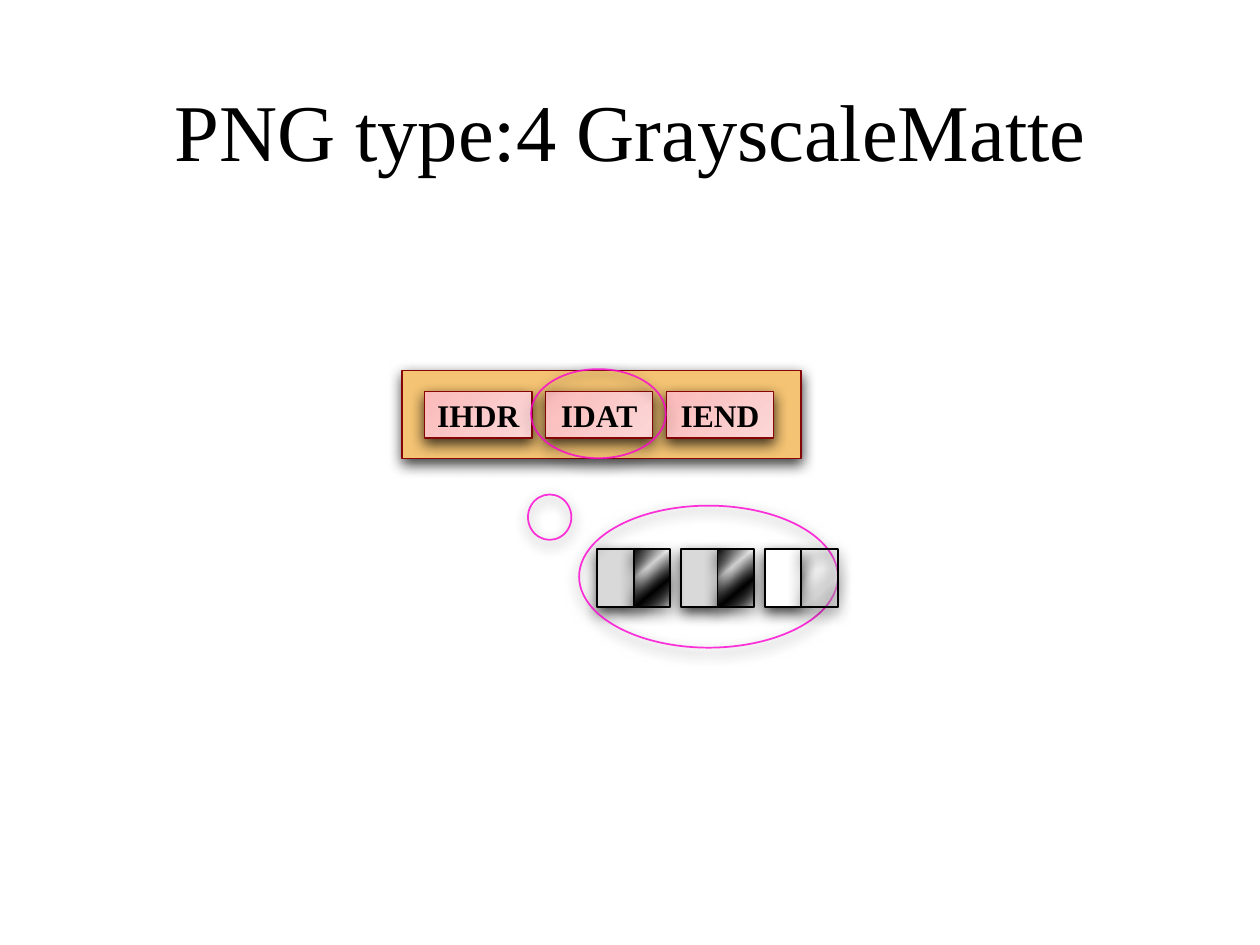
from lxml.etree import SubElement
from pptx import Presentation
from pptx.dml.color import RGBColor
from pptx.enum.shapes import MSO_SHAPE as Preset
from pptx.enum.text import MSO_ANCHOR as Anchor, MSO_AUTO_SIZE as AutoSize, PP_ALIGN as Align
from pptx.oxml import parse_xml
from pptx.oxml.ns import nsdecls, qn
from pptx.util import Inches, Pt

COLORS = {
    "ink": "000000", "gray": "D9D9D9", "white": "FFFFFF", "mist": "F2F2F2",
    "file": "F4C373", "border": "860605", "bubble": "FF00D3",
    "chunk_light": "FCD7D7", "chunk_dark": "FBBABA",
}
FONT = "Times New Roman"
DIAGONAL = '<a:lin ang="3000000" scaled="0"/>'
CORNER = '<a:path path="circle"><a:fillToRect l="100000" t="100000"/></a:path>'
CHUNK_STOPS = [(0, "chunk_light", 100), (100, "chunk_dark", 100)]
DARK_STOPS = [(0, "ink", 100), (33, "ink", 0), (66, "ink", 100), (100, "ink", 0)]
CLEAR_STOPS = [(0, "white", 48), (33, "mist", 0), (66, "mist", 51), (100, "mist", 0)]
PIXEL_PITCH = 0.665
PIXEL_WIDTH = 0.29
CHUNK_PITCH = 0.96
CHUNK_WIDTH = 0.85


def rgb(name):
    return RGBColor.from_string(COLORS[name])


def add_alpha(color, percent):
    SubElement(color, qn("a:alpha"), val=str(percent * 1000))


def set_gradient(shape, stops, direction):
    shape.fill.background()
    gradient = parse_xml(
        f'<a:gradFill {nsdecls("a")} rotWithShape="1"><a:gsLst/>{direction}</a:gradFill>')
    for position, name, opacity in stops:
        stop = SubElement(gradient[0], qn("a:gs"), pos=str(position * 1000))
        add_alpha(SubElement(stop, qn("a:srgbClr"), val=COLORS[name]), opacity)
    properties = shape.element.spPr
    properties.replace(properties.find(qn("a:noFill")), gradient)


def set_shadow(shape):
    shape.shadow.inherit = False
    effects = shape.element.spPr.find(qn("a:effectLst"))
    shadow = SubElement(effects, qn("a:outerShdw"), blurRad=str(Pt(8)), dist=str(Pt(3)),
                        dir="5400000", algn="ctr", rotWithShape="0")
    add_alpha(SubElement(shadow, qn("a:srgbClr"), val=COLORS["ink"]), 75)


def add_figure(slide, preset, box, line, fill=None, stops=None, direction=DIAGONAL):
    figure = slide.shapes.add_shape(preset, *map(Inches, box))
    if stops:
        set_gradient(figure, stops, direction)
    elif fill:
        figure.fill.solid()
        figure.fill.fore_color.rgb = rgb(fill)
    else:
        figure.fill.background()
    figure.line.color.rgb = rgb(line)
    figure.line.width = Pt(1)
    set_shadow(figure)
    return figure


def write(frame, text, size, bold=False, wrap=True):
    frame.word_wrap = wrap
    frame.auto_size = AutoSize.NONE
    frame.vertical_anchor = Anchor.MIDDLE
    paragraph = frame.paragraphs[0]
    paragraph.alignment = Align.CENTER
    run = paragraph.add_run()
    run.text = text
    run.font.name = FONT
    run.font.size = Pt(size)
    run.font.bold = bold
    run.font.color.rgb = rgb("ink")


def place_title(slide, box, text):
    title = slide.shapes.title
    title.left, title.top, title.width, title.height = map(Inches, box)
    write(title.text_frame, text, 46)


def add_gray_samples(slide, box):
    left, top, _, height = box
    for column, fill in enumerate(["gray", "gray", "white"]):
        add_figure(slide, Preset.RECTANGLE,
                   (left + column * PIXEL_PITCH, top, PIXEL_WIDTH, height), "ink", fill=fill)


def add_matte_samples(slide, box):
    left, top, _, height = box
    for column, stops in reversed(list(enumerate([DARK_STOPS, DARK_STOPS, CLEAR_STOPS]))):
        add_figure(slide, Preset.RECTANGLE,
                   (left + PIXEL_WIDTH + column * PIXEL_PITCH, top, PIXEL_WIDTH, height),
                   "ink", stops=stops)


def add_png_file(slide, box, chunk_names):
    left, top, _, height = box
    add_figure(slide, Preset.RECTANGLE, box, "border", fill="file")
    for column, name in enumerate(chunk_names):
        chunk = add_figure(
            slide, Preset.RECTANGLE,
            (left + 0.18 + column * CHUNK_PITCH, top + 0.24 * height, CHUNK_WIDTH, 0.53 * height),
            "border", stops=CHUNK_STOPS, direction=CORNER)
        write(chunk.text_frame, name, 18, bold=True, wrap=False)


def add_bubbles(slide, box):
    left, top, width, height = box
    shares = [(0.01, 0, 0.435, 0.32), (0.165, 0.49, 0.835, 0.51), (0, 0.45, 0.14, 0.163)]
    for x, y, w, h in shares:
        bubble = add_figure(
            slide, Preset.OVAL,
            (left + x * width, top + y * height, w * width, h * height), "bubble")
        add_alpha(bubble.element.spPr.find(qn("a:ln")).find(".//" + qn("a:srgbClr")), 80)


def main():
    deck = Presentation()
    deck.slide_width, deck.slide_height = Inches(10), Inches(7.5)
    slide = deck.slides.add_slide(deck.slide_layouts[5])
    pixels = (4.74, 4.36, 1.91, 0.46)
    place_title(slide, (1, 0.55, 8, 0.95), "PNG type:4 GrayscaleMatte")
    add_gray_samples(slide, pixels)
    add_png_file(slide, (3.19, 2.94, 3.17, 0.7), ["IHDR", "IDAT", "IEND"])
    add_bubbles(slide, (4.19, 2.93, 2.46, 2.21))
    add_matte_samples(slide, pixels)
    deck.save("out.pptx")


if __name__ == "__main__":
    main()
